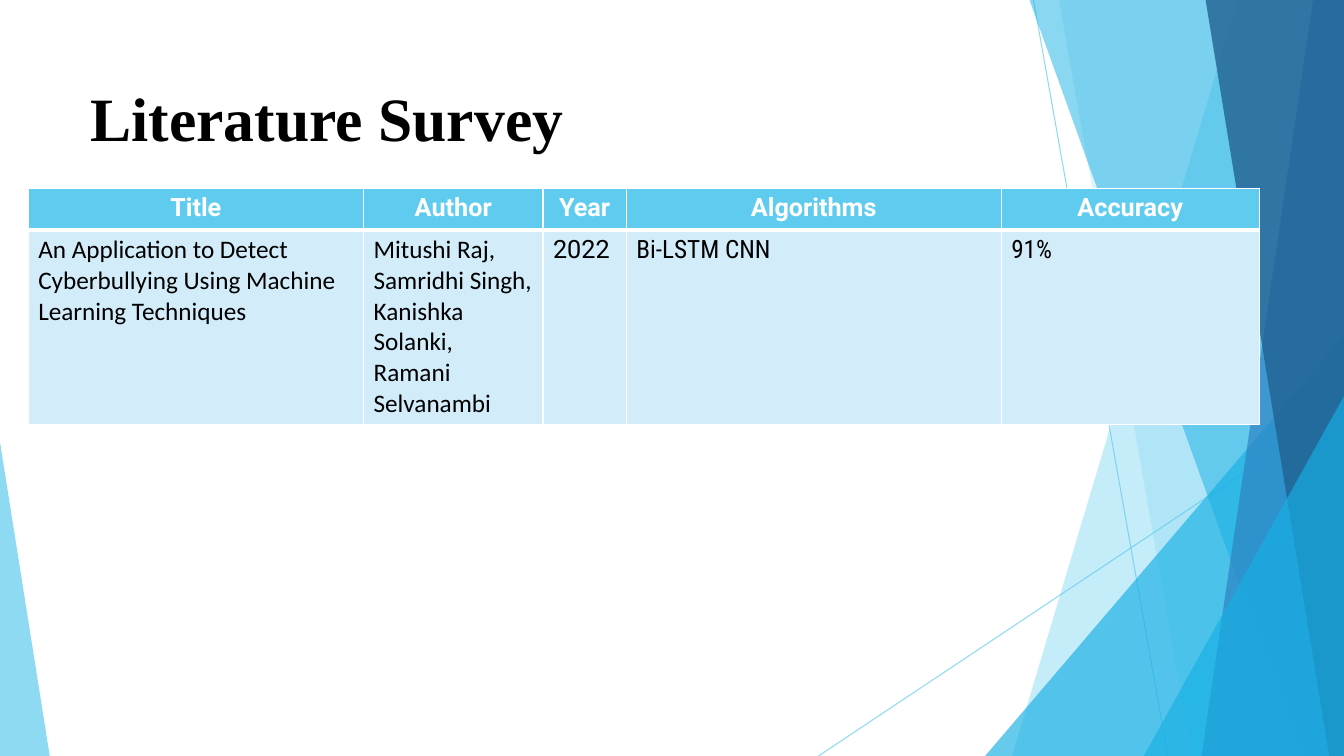
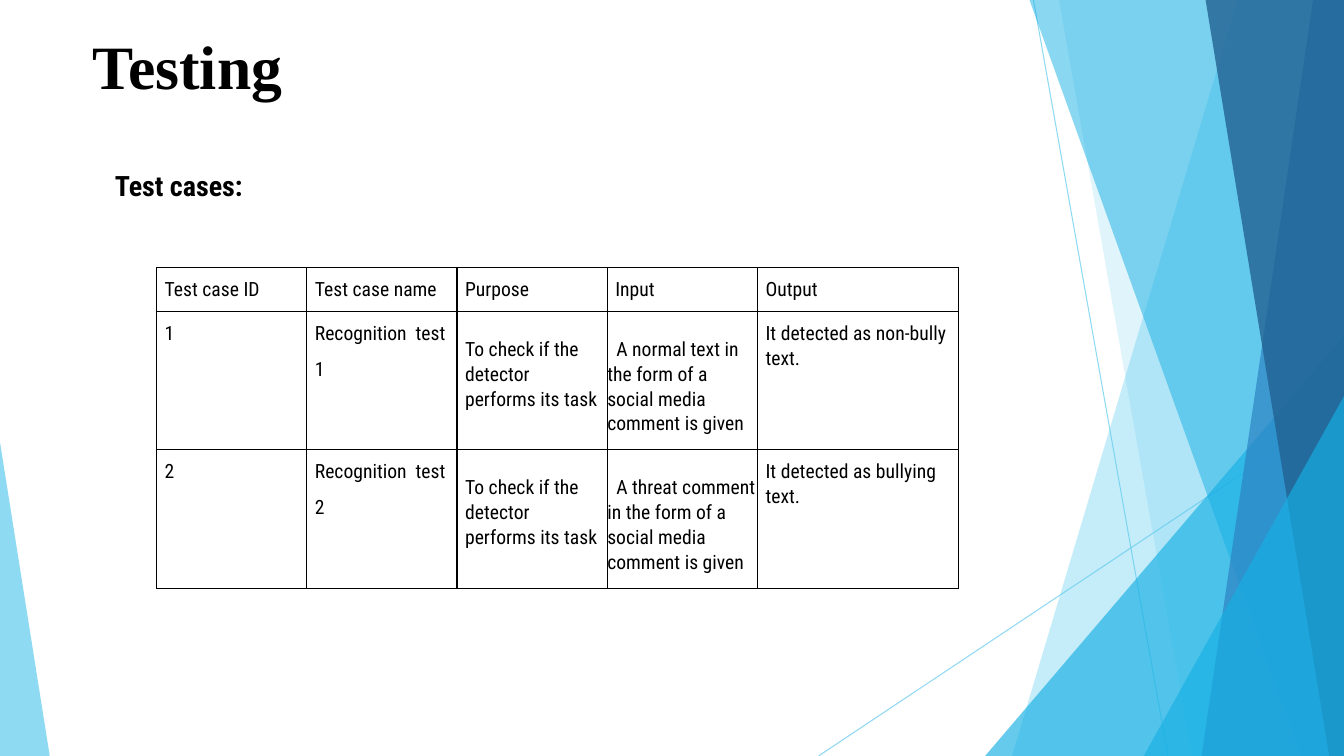
from dataclasses import dataclass

from lxml import etree
from pptx import Presentation
from pptx import util as u
from pptx.dml.color import RGBColor
from pptx.enum import shapes, text
from pptx.oxml import ns


@dataclass(frozen=True)
class Theme:
    wide: float = 13.33
    high: float = 7.5
    sky: str = "5FCBEF"
    cyan: str = "17B0E4"
    blue: str = "2E83C3"
    navy: str = "226292"
    pale: str = "D2ECF9"
    white: str = "FFFFFF"
    black: str = "000000"
    serif: str = "Times New Roman"
    sans: str = "Roboto"
    slim: str = "Roboto Condensed"
    plain: str = "Calibri"
    title: int = 44
    lead: int = 20
    body: int = 18
    small: int = 14


T = Theme()
MID = text.PP_ALIGN.CENTER
SIDES = "LRTB"


def across(share):
    return u.Inches(T.wide * share / 100)


def down(share):
    return u.Inches(T.high * share / 100)


def add(parent, tag, **attrs):
    return etree.SubElement(parent, ns.qn(tag), attrs)


def fade(part, share):
    for color in part.iter(ns.qn("a:srgbClr")):
        add(color, "a:alpha", val=str(share * 1000))


def write(frame, words, font=T.sans, size=T.body, color=T.black, bold=False,
          align=text.PP_ALIGN.LEFT, line=None, after=0, left=0, first=0, tab=None):
    frame.word_wrap = True
    for n, part in enumerate(words.split("\n")):
        para = frame.add_paragraph() if n else frame.paragraphs[0]
        para.alignment = align
        para.line_spacing = line
        para.space_before = u.Pt(0)
        para.space_after = u.Pt(after)
        props = para._p.get_or_add_pPr()
        props.set("marL", str(u.Inches(left)))
        props.set("indent", str(u.Inches(first)))
        if tab:
            stops = add(props, "a:tabLst")
            add(stops, "a:tab", pos=str(u.Inches(tab)), algn="l")
        run = para.add_run()
        run.text = part
        run.font.name = font
        run.font.size = u.Pt(size)
        run.font.bold = bold
        run.font.color.rgb = RGBColor.from_string(color)


def paint(shape, color, share):
    shape.shadow.inherit = False
    shape.fill.solid()
    shape.fill.fore_color.rgb = RGBColor.from_string(color)
    shape.line.fill.background()
    fade(shape.element.spPr, share)


def ray(slide, x1, y1, x2, y2):
    line = slide.shapes.add_connector(
        shapes.MSO_CONNECTOR.STRAIGHT, across(x1), down(y1), across(x2), down(y2))
    line.line.color.rgb = RGBColor.from_string(T.sky)
    line.line.width = u.Pt(0.75)
    props = line.element.spPr
    fade(props, 70)
    add(props, "a:effectLst")


def band(slide, top, base, color, share):
    pen = slide.shapes.build_freeform(across(top), 0)
    pen.add_line_segments([(across(100), 0), (across(100), down(100)),
                           (across(base), down(100))])
    paint(pen.convert_to_shape(), color, share)


def wedge(slide, left, right, top, tip, color, share):
    shape = slide.shapes.add_shape(
        shapes.MSO_SHAPE.ISOSCELES_TRIANGLE, across(left), down(top),
        across(right - left), down(100 - top))
    shape.adjustments[0] = tip
    paint(shape, color, share)


def draw_art(slide):
    ray(slide, 76.9, 0, 86.9, 100)
    ray(slide, 100, 53.7, 60.9, 100)
    band(slide, 92.1, 75.3, T.sky, 36)
    band(slide, 78.8, 88.7, T.sky, 20)
    wedge(slide, 73.3, 100, 44.4, 1, T.cyan, 66)
    band(slide, 76.6, 96.8, T.cyan, 50)
    band(slide, 97.7, 89.4, T.blue, 70)
    band(slide, 89.7, 98.9, T.navy, 80)
    wedge(slide, 85.1, 100, 52.4, 1, T.cyan, 66)
    wedge(slide, 0, 3.7, 58.5, 0, T.sky, 70)


def share_art(deck, layout):
    slide = deck.slides.add_slide(layout)
    draw_art(slide)
    for n, shape in enumerate(list(slide.shapes)):
        if not shape.is_placeholder:
            shape.element.xpath(".//p:cNvPr")[0].set("id", str(100 + n))
            layout.shapes.element.append(shape.element)
    return slide


def head(slide, words, left, top):
    title = slide.shapes.title
    title.left, title.top = across(left), down(top)
    title.width, title.height = across(70), down(11.2)
    frame = title.text_frame
    frame.auto_size = text.MSO_AUTO_SIZE.NONE
    frame.vertical_anchor = text.MSO_ANCHOR.MIDDLE
    write(frame, words, font=T.serif, size=T.title, bold=True)


def edge(cell, color, widths):
    props = cell._tc.get_or_add_tcPr()
    for side, width in zip(SIDES, widths):
        line = add(props, "a:ln" + side, w=str(u.Pt(width)))
        add(add(line, "a:solidFill"), "a:srgbClr", val=color)


def grid(slide, left, top, cols, rows):
    table = slide.shapes.add_table(
        len(rows), len(cols), across(left), down(top),
        across(sum(cols)), down(sum(rows))).table
    table.first_row = table.horz_banding = False
    for col, width in zip(table.columns, cols):
        col.width = across(width)
    for row, height in zip(table.rows, rows):
        row.height = down(height)
    return table


def survey(slide):
    head(slide, "Literature Survey", 6, 9.87)
    heads = ["Title", "Author", "Year", "Algorithms", "Accuracy"]
    facts = [
        "An Application to Detect Cyberbullying Using Machine Learning Techniques",
        "Mitushi Raj, Samridhi Singh, Kanishka Solanki, Ramani Selvanambi",
        "2022", "Bi-LSTM CNN", "91%"]
    fonts = [T.plain, T.plain, T.sans, T.slim, T.slim]
    table = grid(slide, 2.1, 24.93, [24.95, 13.35, 6.2, 27.9, 19.2], [5.45, 25])
    for n, (name, fact, font) in enumerate(zip(heads, facts, fonts)):
        top, base = table.cell(0, n), table.cell(1, n)
        edge(top, T.white, [1, 1, 1, 3])
        edge(base, T.white, [1, 1, 3, 1])
        for cell, fill in ((top, T.sky), (base, T.pale)):
            cell.fill.solid()
            cell.fill.fore_color.rgb = RGBColor.from_string(fill)
        write(top.text_frame, name, color=T.white, bold=True, align=MID)
        write(base.text_frame, fact, font=font)


def testing(slide):
    head(slide, "Testing", 6.15, 3)
    label = slide.shapes.add_textbox(across(7.8), down(19.4), across(50), down(7.2))
    write(label.text_frame, "Test cases:", font=T.slim, size=T.lead,
          bold=True, line=1.5)
    task = "To check if the detector performs its task"
    cases = [
        ["Test case ID", "Test case name", "Purpose", "Input", "Output"],
        ["1", "Recognition\ttest\n1", task,
         "A normal text in the form of a social media comment is given",
         "It detected as non-bully text."],
        ["2", "Recognition\ttest\n2", task,
         "A threat comment in the form of a social media comment is given",
         "It detected as bullying text."]]
    table = grid(slide, 11.65, 35.4, [11.18] * 4 + [14.95], [5.8, 18.3, 18.3])
    for r, case in enumerate(cases):
        for c, words in enumerate(case):
            cell = table.cell(r, c)
            edge(cell, T.black, [1] * 4)
            cell.fill.background()
            cell.margin_left = cell.margin_bottom = 0
            cell.margin_right = u.Inches(0.08 if c == 2 else 0)
            cell.margin_top = u.Inches(0.25 if r and c in (2, 3) else 0.09)
            hang = r > 0 and c == 3
            write(cell.text_frame, words, font=T.slim, size=T.small, line=1.07,
                  after=8, left=0 if hang else 0.08, first=0.09 if hang else 0,
                  tab=1.13 if "\t" in words else None)


def main():
    deck = Presentation()
    deck.slide_width, deck.slide_height = across(100), down(100)
    layout = deck.slide_layouts[5]
    survey(share_art(deck, layout))
    testing(deck.slides.add_slide(layout))
    deck.save("out.pptx")


if __name__ == "__main__":
    main()
